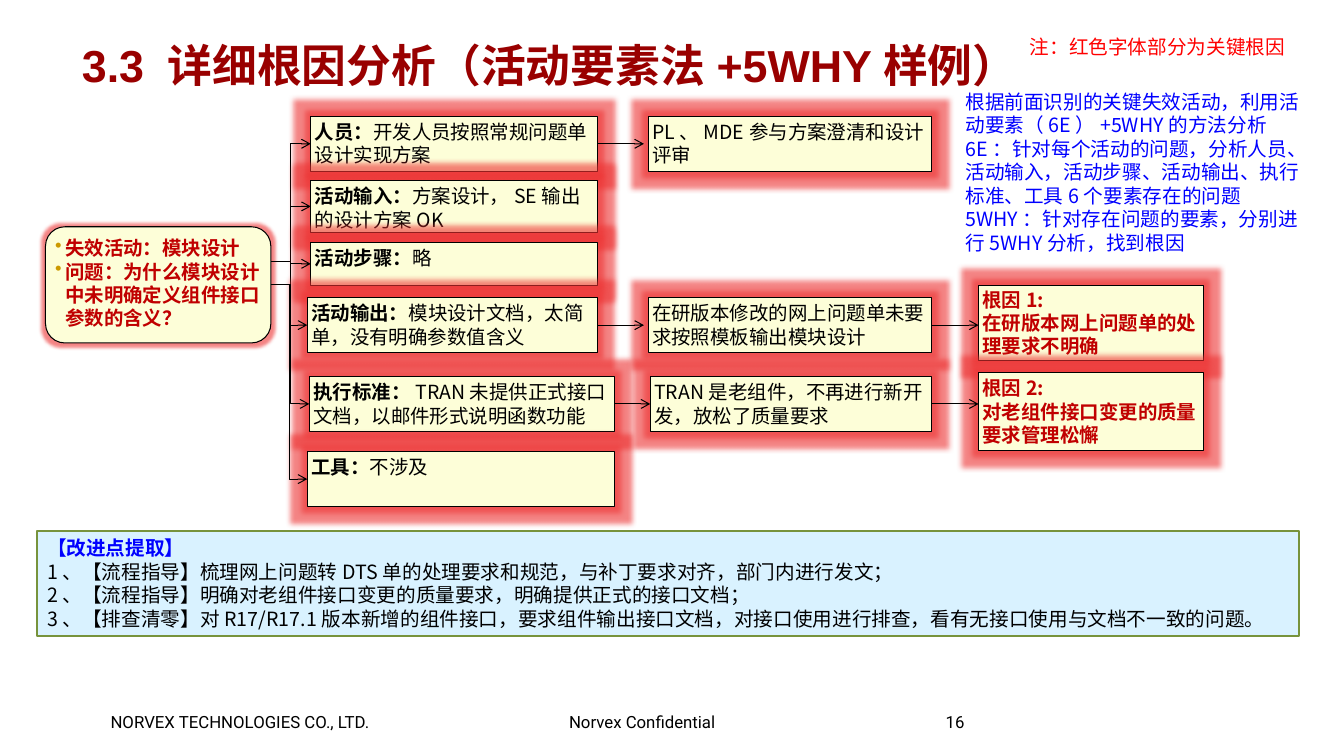
from lxml.etree import SubElement
from pptx import Presentation
from pptx.dml.color import RGBColor as RGB
from pptx.enum.shapes import MSO_CONNECTOR as Link, MSO_SHAPE as Kind
from pptx.enum.text import MSO_ANCHOR as Anchor, PP_ALIGN as Align
from pptx.oxml.ns import qn
from pptx.util import Pt

COLORS = {
    "black": "000000", "title": "990000", "note": "FF0000", "blue": "0000FF",
    "cause": "C00000", "cream": "FDFED8", "bullet": "CC9900", "glow": "EE3333",
    "sky": "D9F2FF", "green": "77933C",
}
SANS = "Noto Sans CJK SC"
SIZE = 13.9

# Each row: box, element, finding, height where its branch leaves the problem
ROWS = [
    ((222, 83, 205, 39.5), "人员：", "开发人员按照常规问题单设计实现方案", 187),
    ((222, 129, 205, 37), "活动输入：", "方案设计，SE输出的设计方案OK", 203),
    ((222, 173, 205, 31), "活动步骤：", "略", 203),
    ((219.5, 212.5, 207, 39.5), "活动输出：", "模块设计文档，太简单，没有明确参数值含义", 203),
    ((221, 268.8, 218, 39.5), "执行标准：", "TRAN未提供正式接口文档，以邮件形式说明函数功能", 203),
    ((219.5, 322.5, 219.5, 39.5), "工具：", "不涉及", 203),
]
# Each reason: its row, box, text
WHYS = [
    (0, (463, 83, 202.5, 39.5), "PL、MDE参与方案澄清和设计评审"),
    (3, (463, 212.5, 202.5, 39.5), "在研版本修改的网上问题单未要求按照模板输出模块设计"),
    (4, (464.5, 268.8, 201, 39.5), "TRAN是老组件，不再进行新开发，放松了质量要求"),
]
# Each root cause: its reason, box, lines
ROOTS = [
    (1, (699, 203.8, 160.5, 53.5), ["根因1:", "在研版本网上问题单的处理要求不明确"]),
    (2, (699, 265.8, 160.5, 56), ["根因2:", "对老组件接口变更的质量要求管理松懈"]),
]
ADVICE = [
    "根据前面识别的关键失效活动，利用活动要素（6E）+5WHY的方法分析",
    "6E：针对每个活动的问题，分析人员、活动输入，活动步骤、活动输出、执行标准、工具6个要素存在的问题",
    "5WHY：针对存在问题的要素，分别进行5WHY分析，找到根因",
]
STEPS = [
    "【改进点提取】",
    "1、【流程指导】梳理网上问题转DTS单的处理要求和规范，与补丁要求对齐，部门内进行发文；",
    "2、【流程指导】明确对老组件接口变更的质量要求，明确提供正式的接口文档；",
    "3、【排查清零】对R17/R17.1版本新增的组件接口，要求组件输出接口文档，"
    "对接口使用进行排查，看有无接口使用与文档不一致的问题。",
]


def color(name):
    return RGB.from_string(COLORS[name])


def style(para, size, tint, bold=False, face=SANS):
    para.alignment = Align.LEFT
    font = para.font
    font.size, font.bold, font.name = Pt(size), bold, face
    font.color.rgb = color(tint)
    asian = SubElement(para._p.pPr.find(qn("a:defRPr")), qn("a:ea"))
    asian.set("typeface", SANS)


def write(shape, lines, size, tint, bold=False, face=SANS,
          pad=(7.2, 3.6, 7.2, 3.6), anchor=Anchor.TOP, wrap=True):
    frame = shape.text_frame
    frame.word_wrap, frame.vertical_anchor = wrap, anchor
    frame.margin_left, frame.margin_top, frame.margin_right, frame.margin_bottom = map(Pt, pad)
    frame.text = "\n".join(lines)
    for para in frame.paragraphs:
        style(para, size, tint, bold, face)
    return frame


def label(slide, box, lines, size, tint, **kw):
    return write(slide.shapes.add_textbox(*map(Pt, box)), lines, size, tint, **kw)


def panel(slide, box, kind=Kind.RECTANGLE, fill="cream", edge="black", width=0.75):
    shape = slide.shapes.add_shape(kind, *map(Pt, box))
    shape.shadow.inherit = False
    shape.fill.solid()
    shape.fill.fore_color.rgb = color(fill)
    shape.line.color.rgb = color(edge)
    shape.line.width = Pt(width)
    return shape


def card(slide, box, lines, tint="black", bold=False, anchor=Anchor.TOP,
         kind=Kind.RECTANGLE, glow=8):
    shape = panel(slide, box, kind)
    halo = SubElement(shape._element.spPr.find(qn("a:effectLst")), qn("a:glow"))
    halo.set("rad", str(Pt(glow)))
    tone = SubElement(halo, qn("a:srgbClr"))
    tone.set("val", COLORS["glow"])
    SubElement(tone, qn("a:alpha")).set("val", "60000")
    return write(shape, lines, SIZE, tint, bold, pad=(2.8,) * 4, anchor=anchor)


def arrow(slide, start, end, kind=Link.STRAIGHT):
    link = slide.shapes.add_connector(kind, *map(Pt, start + end))
    link.line.color.rgb = color("black")
    link.line.width = Pt(0.75)
    SubElement(link.line._get_or_add_ln(), qn("a:tailEnd")).set("type", "arrow")
    SubElement(link._element.spPr, qn("a:effectLst"))


def middle(box):
    return box[1] + box[3] / 2


def head(slide, box):
    title = slide.shapes.title
    title.left, title.top, title.width, title.height = map(Pt, box)
    write(title, ["3.3 详细根因分析（活动要素法+5WHY样例）"], 32, "title", True, "Arial",
          pad=(0, 2.9, 6.5, 2.9), anchor=Anchor.MIDDLE)


def problem(slide, box):
    frame = card(slide, box, [], kind=Kind.ROUNDED_RECTANGLE, glow=5)
    frame.text = "失效活动：模块设计\n问题：为什么模块设计中未明确定义组件接口参数的含义？"
    for para in frame.paragraphs:
        props = para._p.get_or_add_pPr()
        props.set("marL", str(Pt(7.2)))
        props.set("indent", str(Pt(-7.2)))
        tone = SubElement(SubElement(props, qn("a:buClr")), qn("a:srgbClr"))
        tone.set("val", COLORS["bullet"])
        SubElement(props, qn("a:buChar")).set("char", "•")
        style(para, SIZE, "cause", True)


def tree(slide, box):
    problem(slide, box)
    right = box[0] + box[2]
    # Elements and their branches
    for spot, name, text, leave in ROWS:
        para = card(slide, spot, [name]).paragraphs[0]
        para.runs[0].font.bold = True
        para.add_run().text = text
        arrow(slide, (right, leave), (spot[0], middle(spot)), Link.ELBOW)
    # Reasons
    for row, spot, text in WHYS:
        card(slide, spot, [text])
        left = ROWS[row][0]
        arrow(slide, (left[0] + left[2], middle(spot)), (min(spot[0], 460 if row < 4 else 465), middle(spot)))
    # Root causes
    for why, spot, lines in ROOTS:
        card(slide, spot, lines, "cause", True, Anchor.MIDDLE)
        left = WHYS[why][1]
        y = middle(left)
        arrow(slide, (left[0] + left[2], y), (spot[0], y))


def summary(slide, box):
    shape = panel(slide, box, fill="sky", edge="green", width=1.5)
    first = write(shape, STEPS, 14, "black").paragraphs[0]
    first.font.bold = True
    first.font.color.rgb = color("blue")


def footer(slide, box):
    left, top, width, height = box
    parts = [(0, "NORVEX TECHNOLOGIES CO., LTD."), (327.5, "Norvex Confidential"), (596.5, "16")]
    for shift, text in parts:
        label(slide, (left + shift, top, width, height), [text], 12, "black",
              face="Roboto", pad=(0, 0, 0, 0))


def main():
    deck = Presentation()
    deck.slide_width, deck.slide_height = Pt(960), Pt(540)
    slide = deck.slides.add_slide(deck.slide_layouts[5])
    head(slide, (58.5, 21.5, 700, 49))
    label(slide, (728.5, 21.5, 229, 24.5), ["注：红色字体部分为关键根因"], 14, "note")
    tree(slide, (32.5, 162, 161, 83))
    summary(slide, (26.5, 379.5, 901.5, 75))
    label(slide, (682.5, 60.5, 262, 126), ADVICE, 14, "blue")
    footer(slide, (79, 508.5, 200, 14.5))
    deck.save("out.pptx")


if __name__ == "__main__":
    main()
